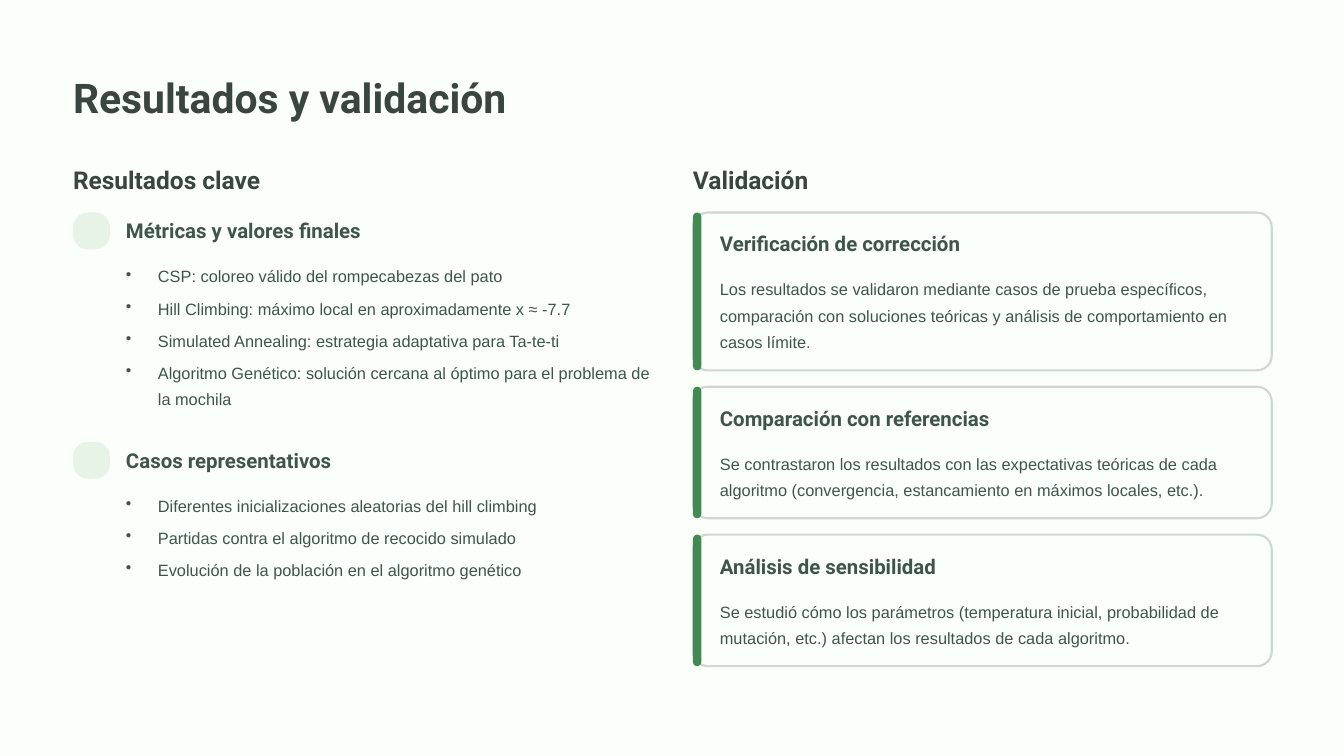
from pptx import Presentation
from pptx import util as u
from pptx.dml.color import RGBColor
from pptx.enum import shapes, text
from pptx.oxml.ns import qn
from lxml import etree

MINT_WHITE = RGBColor(0xFA, 0xFF, 0xFA)
CHARCOAL = RGBColor(0x3B, 0x45, 0x40)
DARK_GREEN = RGBColor(0x40, 0x54, 0x49)
PALE_GREEN = RGBColor(0xE8, 0xF3, 0xE8)
BORDER_GREEN = RGBColor(0xCE, 0xD9, 0xCE)
ACCENT_GREEN = RGBColor(0x43, 0x89, 0x51)

COLUMNS, ROWS = 160, 90
LEFT, RIGHT = 8.7, 82.5
SUBTITLE_TOP, CONTENT_TOP = 19.5, 25.3
LINE_ROWS = 3.13  # one line of body text
CARD_GAP = 1.95

RESULTS = [
    (CONTENT_TOP, "Métricas y valores finales", 17.6, [
        "CSP: coloreo válido del rompecabezas del pato",
        "Hill Climbing: máximo local en aproximadamente x ≈ -7.7",
        "Simulated Annealing: estrategia adaptativa para Ta-te-ti",
        "Algoritmo Genético: solución cercana al óptimo para el problema de la mochila",
    ]),
    (52.6, "Casos representativos", 10.8, [
        "Diferentes inicializaciones aleatorias del hill climbing",
        "Partidas contra el algoritmo de recocido simulado",
        "Evolución de la población en el algoritmo genético",
    ]),
]

CARDS = [
    ("Verificación de corrección", 3,
     "Los resultados se validaron mediante casos de prueba específicos, comparación "
     "con soluciones teóricas y análisis de comportamiento en casos límite."),
    ("Comparación con referencias", 2,
     "Se contrastaron los resultados con las expectativas teóricas de cada algoritmo "
     "(convergencia, estancamiento en máximos locales, etc.)."),
    ("Análisis de sensibilidad", 2,
     "Se estudió cómo los parámetros (temperatura inicial, probabilidad de mutación, "
     "etc.) afectan los resultados de cada algoritmo."),
]


class Slide:
    # font, size, line spacing, colour, bold
    TITLE = ("Roboto", 35, 43.5, CHARCOAL, True)
    SUBTITLE = ("Roboto", 21, 26, CHARCOAL, True)
    HEADING = ("Roboto", 17.5, 21.5, DARK_GREEN, True)
    BODY = ("Arial", 14, 22.5, DARK_GREEN, False)

    def __init__(self, deck):
        self.page = deck.slides.add_slide(deck.slide_layouts[6])
        self.column = deck.slide_width / COLUMNS
        self.row = deck.slide_height / ROWS
        fill = self.page.background.fill
        fill.solid()
        fill.fore_color.rgb = MINT_WHITE

    def place(self, left, top, width, height):
        """Turn columns and rows into slide lengths."""
        return (round(left * self.column), round(top * self.row),
                round(width * self.column), round(height * self.row))

    def text_box(self, area, style, lines, bulleted=False):
        font, size, spacing, colour, bold = style
        frame = self.page.shapes.add_textbox(*self.place(*area)).text_frame
        frame.word_wrap = True
        frame.vertical_anchor = text.MSO_ANCHOR.TOP
        frame.margin_left = frame.margin_right = 0
        frame.margin_top = frame.margin_bottom = 0
        frame.text = "\n".join(lines)
        for index, para in enumerate(frame.paragraphs):
            para.line_spacing = u.Pt(spacing)
            if index:
                para.space_before = u.Pt(5)
            if bulleted:
                self.add_bullet(para)
            for span in para.runs:
                span.font.name = font
                span.font.size = u.Pt(size)
                span.font.bold = bold
                span.font.color.rgb = colour

    def add_bullet(self, para):
        properties = para._p.get_or_add_pPr()
        indent = u.Inches(0.38)
        properties.set("marL", str(indent))
        properties.set("indent", str(-indent))
        etree.SubElement(properties, qn("a:buChar")).set("char", "•")

    def rounded(self, area, radius, fill, line=None):
        shape = self.page.shapes.add_shape(
            shapes.MSO_SHAPE.ROUNDED_RECTANGLE, *self.place(*area))
        shape.shadow.inherit = False
        shape.adjustments[0] = min(0.5, radius / min(area[2:]))
        shape.fill.solid()
        shape.fill.fore_color.rgb = fill
        if line is None:
            shape.line.fill.background()
        else:
            shape.line.color.rgb = line
            shape.line.width = u.Pt(1.8)

    def result_group(self, top, heading, height, items):
        self.rounded((LEFT, top, 4.4, 4.4), 1.76, PALE_GREEN)
        self.text_box((15, top + 0.65, 62.6, 3.1), self.HEADING, [heading])
        self.text_box((15, top + 5.65, 62.6, height), self.BODY, items, bulleted=True)

    def card(self, top, heading, line_count, body):
        """Draw a card as tall as its text and return its height in rows."""
        body_height = line_count * LINE_ROWS
        height = body_height + 9.4
        self.rounded((RIGHT, top, 68.9, height), 1.76, MINT_WHITE, BORDER_GREEN)
        self.rounded((RIGHT, top, 1, height), 1.76, ACCENT_GREEN)
        self.text_box((85.7, top + 2.2, 63.5, 3.1), self.HEADING, [heading])
        self.text_box((85.7, top + 7.2, 63.5, body_height), self.BODY, [body])
        return height


def main():
    deck = Presentation()
    deck.slide_width, deck.slide_height = u.Inches(16), u.Inches(9)
    slide = Slide(deck)
    slide.text_box((LEFT, 8.5, 58.3, 6.1), slide.TITLE, ["Resultados y validación"])

    for left, subtitle in ((LEFT, "Resultados clave"), (RIGHT, "Validación")):
        slide.text_box((left, SUBTITLE_TOP, 29.3, 3.7), slide.SUBTITLE, [subtitle])

    for group in RESULTS:
        slide.result_group(*group)

    top = CONTENT_TOP
    for card in CARDS:
        top += slide.card(top, *card) + CARD_GAP

    deck.save("out.pptx")


if __name__ == "__main__":
    main()
